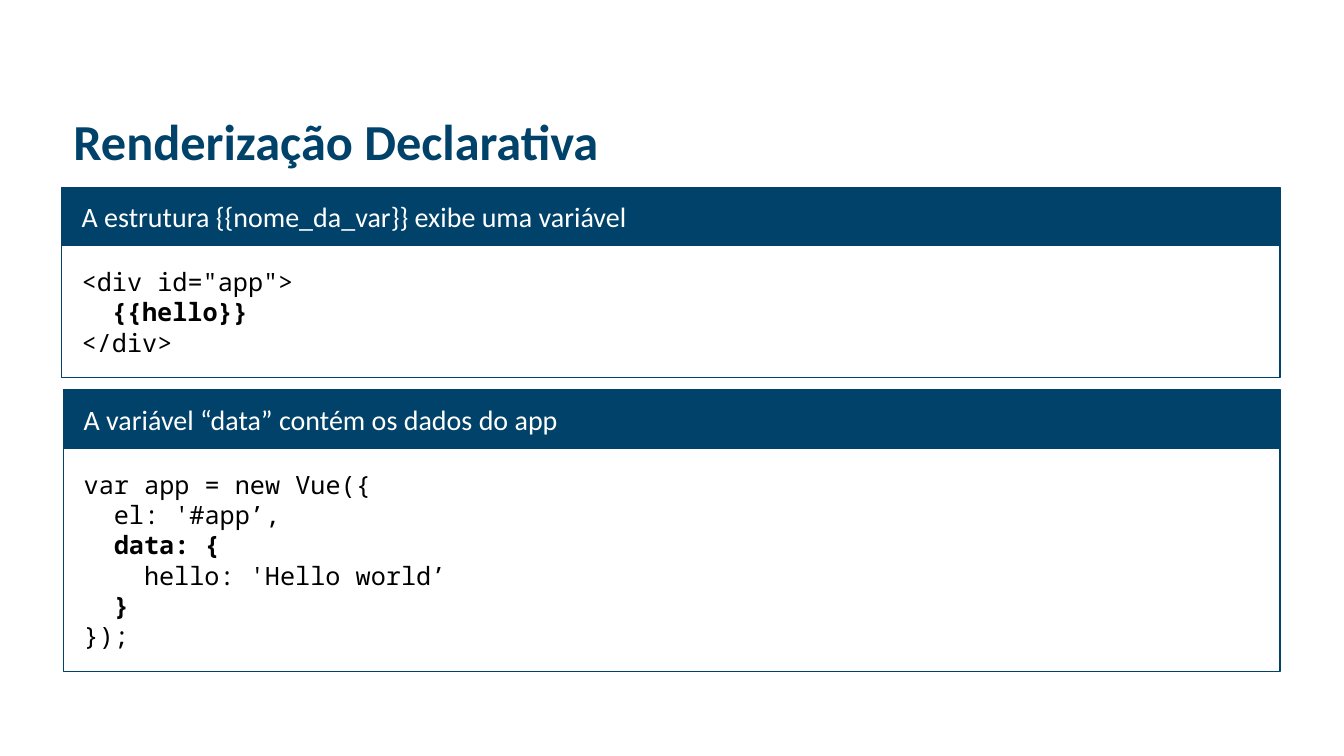
import pptx
import pptx.dml.color
import pptx.enum.shapes
import pptx.enum.text
import pptx.util

Cm = pptx.util.Cm
Pt = pptx.util.Pt
RGBColor = pptx.dml.color.RGBColor
ANCHOR = pptx.enum.text.MSO_ANCHOR
ALIGN = pptx.enum.text.PP_ALIGN

NAVY = RGBColor(0x01, 0x42, 0x6A)
WHITE = RGBColor(0xFF, 0xFF, 0xFF)
BLACK = RGBColor(0x00, 0x00, 0x00)

TITLE = "Renderização Declarativa"
# PANELS_PLACEHOLDER
PANELS = [
    {
        "left": 1.55,
        "heading": "A estrutura {{nome_da_var}} exibe uma variável",
        "code": [
            (0, '<div id="app">', False),
            (1, "{{hello}}", True),
            (0, "</div>", False),
        ],
    },
    {
        "left": 1.6,
        "heading": "A variável “data” contém os dados do app",
        "code": [
            (0, "var app = new Vue({", False),
            (1, "el: '#app’,", False),
            (1, "data: {", True),
            (2, "hello: 'Hello world’", False),
            (1, "}", True),
            (0, "});", False),
        ],
    },
]

PANEL_TOP = 4.72
PANEL_RIGHT = 32.26
PANEL_GAP = 0.3
HEADING_HEIGHT = 1.47
LINE_HEIGHT = 0.77
SIDE_INSET = 0.51
HEADING_INSET = 0.3
CODE_INDENT = 0.76


def write(p, text, font="Calibri", size=20, color=WHITE, bold=False, indent=0):
    p.alignment = ALIGN.LEFT
    if indent:
        p._p.get_or_add_pPr().set("marL", str(Cm(indent)))
    r = p.add_run()
    r.text = text
    r.font.name = font
    r.font.size = Pt(size)
    r.font.bold = bold
    r.font.color.rgb = color


def add_box(shapes, left, top, height, fill, inset):
    sp = shapes.add_shape(
        pptx.enum.shapes.MSO_SHAPE.RECTANGLE,
        Cm(left), Cm(top), Cm(PANEL_RIGHT - left), Cm(height),
    )
    sp.shadow.inherit = False
    sp.fill.solid()
    sp.fill.fore_color.rgb = fill
    sp.line.color.rgb = NAVY
    sp.line.width = Pt(1)
    tf = sp.text_frame
    tf.word_wrap = True
    tf.vertical_anchor = ANCHOR.MIDDLE
    tf.margin_left = tf.margin_right = Cm(SIDE_INSET)
    tf.margin_top = tf.margin_bottom = Cm(inset)
    return tf


def add_panel(s, panel, top):
    shapes = s.shapes.add_group_shape().shapes
    code = panel["code"]
    code_top = top + HEADING_HEIGHT
    code_height = 2 * SIDE_INSET + LINE_HEIGHT * len(code)
    tf = add_box(shapes, panel["left"], code_top, code_height, WHITE, SIDE_INSET)
    for i, (level, text, bold) in enumerate(code):
        p = tf.add_paragraph() if i else tf.paragraphs[0]
        write(p, text, font="Noto Sans Mono", size=18, color=BLACK,
              bold=bold, indent=level * CODE_INDENT)
    tf = add_box(shapes, panel["left"], top, HEADING_HEIGHT, NAVY, HEADING_INSET)
    write(tf.paragraphs[0], panel["heading"])
    return code_top + code_height


def main():
    prs = pptx.Presentation()
    prs.slide_width = Cm(33.87)
    prs.slide_height = Cm(19.05)
    s = prs.slides.add_slide(prs.slide_layouts[6])

    title = s.shapes.add_textbox(Cm(1.6), Cm(2.77), Cm(29.21), Cm(1.75))
    tf = title.text_frame
    tf.word_wrap = True
    tf.vertical_anchor = ANCHOR.MIDDLE
    p = tf.paragraphs[0]
    p.line_spacing = 0.9
    write(p, TITLE, size=36, color=NAVY, bold=True)

    top = PANEL_TOP
    for panel in PANELS:
        top = add_panel(s, panel, top) + PANEL_GAP

    prs.save("out.pptx")


if __name__ == "__main__":
    main()
